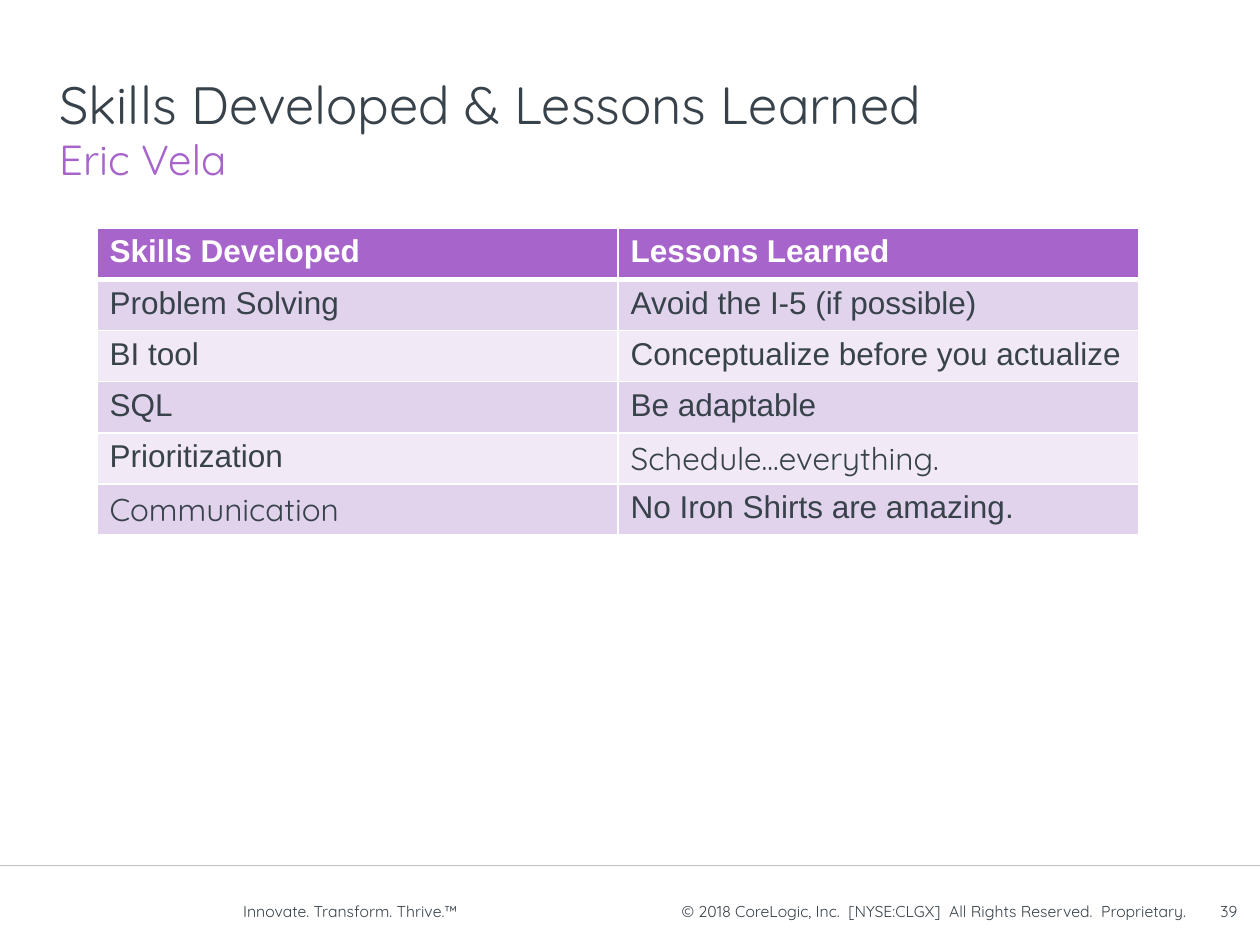
from lxml import etree
from pptx import Presentation
from pptx.dml.color import RGBColor
from pptx.enum import shapes, text
from pptx.oxml import ns
from pptx.util import Inches, Pt

THEME = {
    "ink": "38424A", "accent": "A765CB", "white": "FFFFFF", "rule": "BFBFBF",
    "bands": ["F1EAF6", "E1D3EC"], "heading": "Quicksand", "body": "Arial",
    "title": 30, "subtitle": 24, "table": 18, "footer": 9,
}

deck = Presentation()
deck.slide_width, deck.slide_height = Inches(10), Inches(7.5)
page = deck.slides.add_slide(deck.slide_layouts[6])


def share(x, y, width, height):
    return [int(deck.slide_width * x / 100), int(deck.slide_height * y / 100),
            int(deck.slide_width * width / 100), int(deck.slide_height * height / 100)]


def write(frame, words, font, size, color, bold=False, align=text.PP_ALIGN.LEFT):
    para = frame.paragraphs[0]
    para.alignment = align
    span = para.add_run()
    span.text = words
    for name, value in {"name": font, "size": Pt(size), "bold": bold}.items():
        setattr(span.font, name, value)
    span.font.color.rgb = RGBColor.from_string(color)


left, top, width, height = share(0, 91.6, 100, 0)
rule = page.shapes.add_connector(shapes.MSO_CONNECTOR.STRAIGHT, left, top, width, top)
rule.line.color.rgb = RGBColor.from_string(THEME["rule"])
rule.line.width = Pt(0.75)
etree.SubElement(rule._element.spPr, ns.qn("a:effectLst"))

anchors, aligns = text.MSO_ANCHOR, text.PP_ALIGN
boxes = [
    ("Skills Developed & Lessons Learned", (4.2, 1.6, 93.4, 13.33), "title", "ink", anchors.BOTTOM, aligns.LEFT, 0.05),
    ("Eric Vela", (4.2, 13.47, 93.3, 7.6), "subtitle", "accent", anchors.TOP, aligns.LEFT, 0.05),
    ("Innovate. Transform. Thrive.™", (19.3, 93.6, 19.7, 5.6), "footer", "ink", anchors.MIDDLE, aligns.LEFT, 0),
    ("© 2018 CoreLogic, Inc.  [NYSE:CLGX]  All Rights Reserved.  Proprietary.",
     (50.3, 93.6, 43.8, 5.6), "footer", "ink", anchors.MIDDLE, aligns.RIGHT, 0),
    ("39", (95.4, 93.6, 2.8, 5.6), "footer", "ink", anchors.MIDDLE, aligns.RIGHT, 0),
]
for words, place, size, color, anchor, align, inset in boxes:
    frame = page.shapes.add_textbox(*share(*place)).text_frame
    layout = {"word_wrap": True, "vertical_anchor": anchor,
              "margin_left": Inches(inset), "margin_right": Inches(inset),
              "margin_top": Inches(0.05), "margin_bottom": Inches(0.05)}
    for name, value in layout.items():
        setattr(frame, name, value)
    write(frame, words, THEME["heading"], THEME[size], THEME[color], align=align)

entries = [
    ("Skills Developed", "Lessons Learned"),
    ("Problem Solving", "Avoid the I-5 (if possible)"),
    ("BI tool", "Conceptualize before you actualize"),
    ("SQL", "Be adaptable"),
    ("Prioritization", "Schedule...everything."),
    ("Communication", "No Iron Shirts are amazing."),
]
rounded_entries = {"Schedule...everything.", "Communication"}
grid = page.shapes.add_table(len(entries), 2, *share(7.7, 24.13, 82.7, 32.53)).table

for r, entry in enumerate(entries):
    header = r == 0
    for c, words in enumerate(entry):
        cell = grid.cell(r, c)
        borders = {"lnL": 1, "lnR": 1, "lnT": 3 if r == 1 else 1, "lnB": 3 if header else 1}
        for side, weight in borders.items():
            edge = etree.SubElement(cell._tc.get_or_add_tcPr(), ns.qn("a:" + side), w=str(Pt(weight)))
            paint = etree.SubElement(edge, ns.qn("a:solidFill"))
            etree.SubElement(paint, ns.qn("a:srgbClr"), val=THEME["white"])
        cell.fill.solid()
        cell.fill.fore_color.rgb = RGBColor.from_string(THEME["accent"] if header else THEME["bands"][r % 2])
        write(cell.text_frame, words, THEME["heading" if words in rounded_entries else "body"],
              THEME["table"], THEME["white" if header else "ink"], bold=header)

deck.save("out.pptx")
